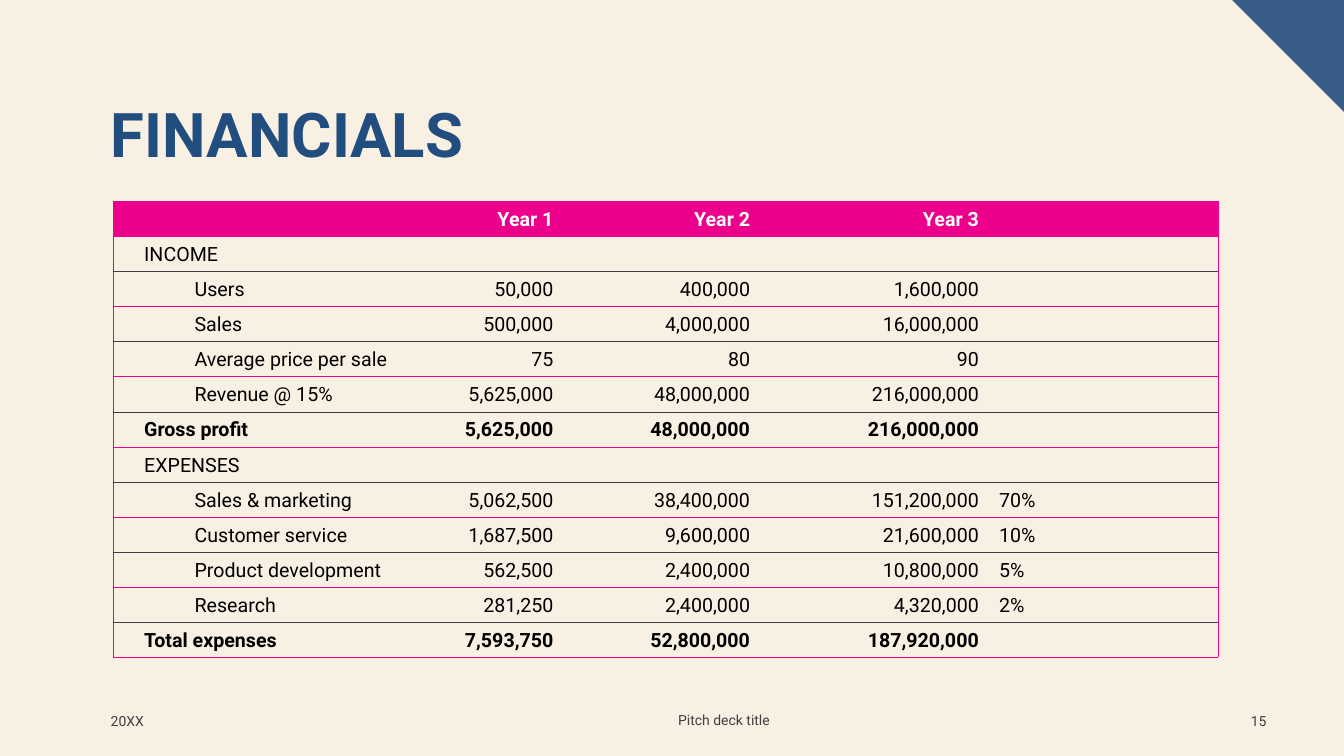
from lxml import etree
from pptx import Presentation
from pptx.dml.color import RGBColor
from pptx.enum.text import MSO_ANCHOR, PP_ALIGN
from pptx.oxml.ns import qn
from pptx.util import Inches, Pt

LEFT, CENTER, RIGHT = PP_ALIGN.LEFT, PP_ALIGN.CENTER, PP_ALIGN.RIGHT
TOP, MIDDLE, BOTTOM = MSO_ANCHOR.TOP, MSO_ANCHOR.MIDDLE, MSO_ANCHOR.BOTTOM

CREAM = RGBColor(0xF8, 0xF0, 0xE3)
CORNER_BLUE = RGBColor(0x38, 0x5E, 0x88)
TITLE_BLUE = RGBColor(0x22, 0x4E, 0x7F)
PINK = RGBColor(0xEC, 0x00, 0x8C)
GRAY = RGBColor(0x40, 0x40, 0x40)
BLACK = RGBColor(0x00, 0x00, 0x00)
WHITE = RGBColor(0xFF, 0xFF, 0xFF)
FONT = "Roboto"

TITLE = "FINANCIALS"
HEADER, SECTION, ITEM, TOTAL = "header", "section", "item", "total"
ROWS = [
    (HEADER, "", "Year 1", "Year 2", "Year 3", ""),
    (SECTION, "INCOME", "", "", "", ""),
    (ITEM, "Users", "50,000", "400,000", "1,600,000", ""),
    (ITEM, "Sales", "500,000", "4,000,000", "16,000,000", ""),
    (ITEM, "Average price per sale", "75", "80", "90", ""),
    (ITEM, "Revenue @ 15%", "5,625,000", "48,000,000", "216,000,000", ""),
    (TOTAL, "Gross profit", "5,625,000", "48,000,000", "216,000,000", ""),
    (SECTION, "EXPENSES", "", "", "", ""),
    (ITEM, "Sales & marketing", "5,062,500", "38,400,000", "151,200,000", "70%"),
    (ITEM, "Customer service", "1,687,500", "9,600,000", "21,600,000", "10%"),
    (ITEM, "Product development", "562,500", "2,400,000", "10,800,000", "5%"),
    (ITEM, "Research", "281,250", "2,400,000", "4,320,000", "2%"),
    (TOTAL, "Total expenses", "7,593,750", "52,800,000", "187,920,000", ""),
]
COLUMN_WIDTHS = (3.11, 1.36, 1.95, 2.27, 2.27)
COLUMN_ALIGNS = (LEFT, RIGHT, RIGHT, RIGHT, LEFT)
TABLE_LEFT, TABLE_TOP, TABLE_HEIGHT = 1.12, 2, 4.52
FOOTER = [
    ("20XX", 1, 6.95, 1.2, LEFT),
    ("Pitch deck title", 5.93, 6.94, 2.5, CENTER),
    ("15", 12.16, 6.95, 0.5, RIGHT),
]
FOOTER_HEIGHT = 0.4
CORNER = 1.11


def write(tf, text, size, color, bold=False, align=LEFT):
    tf.text = text
    p = tf.paragraphs[0]
    p.alignment = align
    for r in p.runs:
        r.font.name = FONT
        r.font.size = Pt(size)
        r.font.bold = bold
        r.font.color.rgb = color
    if not text:
        etree.SubElement(p._p, qn("a:endParaRPr"), sz=str(size * 100))
    return p


def set_border(cell, side, color):
    ln = etree.SubElement(cell._tc.get_or_add_tcPr(), qn("a:ln" + side), w=str(Pt(0.5)))
    if color is None:
        etree.SubElement(ln, qn("a:noFill"))
    else:
        fill = etree.SubElement(ln, qn("a:solidFill"))
        etree.SubElement(fill, qn("a:srgbClr"), val=str(color))


def rule_color(edge):
    return GRAY if edge and edge % 2 == 0 else PINK


def add_corner(s, prs):
    right, size = prs.slide_width, Inches(CORNER)
    fb = s.shapes.build_freeform(right - size, 0)
    fb.add_line_segments([(right, 0), (right, size)], close=True)
    sp = fb.convert_to_shape()
    sp.fill.solid()
    sp.fill.fore_color.rgb = CORNER_BLUE
    sp.line.fill.background()
    sp.shadow.inherit = False


def add_title(s):
    sp = s.shapes.title
    sp.left, sp.top, sp.width, sp.height = map(Inches, (1, 0.98, 11.5, 1.45))
    sp.text_frame.vertical_anchor = TOP
    write(sp.text_frame, TITLE, 44, TITLE_BLUE, True).line_spacing = 0.9


def add_financials(s):
    last = len(COLUMN_WIDTHS) - 1
    table = s.shapes.add_table(
        len(ROWS), len(COLUMN_WIDTHS), Inches(TABLE_LEFT), Inches(TABLE_TOP),
        Inches(sum(COLUMN_WIDTHS)), Inches(TABLE_HEIGHT)).table
    table.first_row = table.horz_banding = False
    for column, width in zip(table.columns, COLUMN_WIDTHS):
        column.width = Inches(width)
    for i, (kind, *texts) in enumerate(ROWS):
        table.rows[i].height = Inches(TABLE_HEIGHT / len(ROWS))
        for j, text in enumerate(texts):
            cell = table.cell(i, j)
            p = write(cell.text_frame, text, 14, WHITE if kind == HEADER else BLACK,
                      kind in (HEADER, TOTAL), COLUMN_ALIGNS[j])
            cell.vertical_anchor = BOTTOM
            if j == 0:
                cell.margin_left = Inches(0.31)
                if kind == ITEM:
                    p.level = 1
                    p._p.get_or_add_pPr().set("marL", str(Inches(0.5)))
            set_border(cell, "L", PINK if j == 0 else None)
            set_border(cell, "R", PINK if j == last else None)
            set_border(cell, "T", rule_color(i))
            set_border(cell, "B", rule_color(i + 1))
            if kind == HEADER:
                cell.fill.solid()
                cell.fill.fore_color.rgb = PINK
            else:
                cell.fill.background()


def add_footer(s):
    for text, left, top, width, align in FOOTER:
        sp = s.shapes.add_textbox(*map(Inches, (left, top, width, FOOTER_HEIGHT)))
        tf = sp.text_frame
        tf.word_wrap = True
        tf.vertical_anchor = MIDDLE
        write(tf, text, 10, GRAY, align=align)


def main():
    prs = Presentation()
    prs.slide_width, prs.slide_height = Inches(13.33), Inches(7.5)
    s = prs.slides.add_slide(prs.slide_layouts[5])
    s.background.fill.solid()
    s.background.fill.fore_color.rgb = CREAM
    add_corner(s, prs)
    add_title(s)
    add_financials(s)
    add_footer(s)
    prs.save("out.pptx")


if __name__ == "__main__":
    main()
